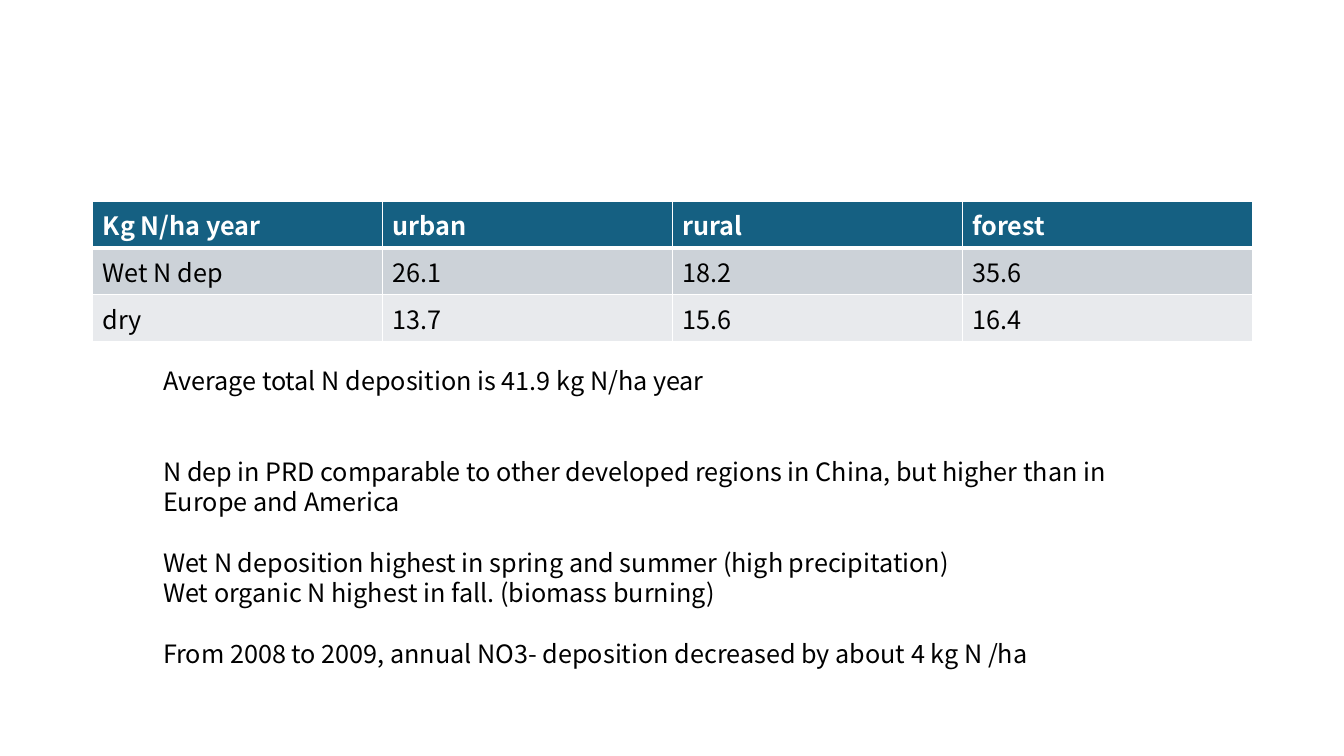
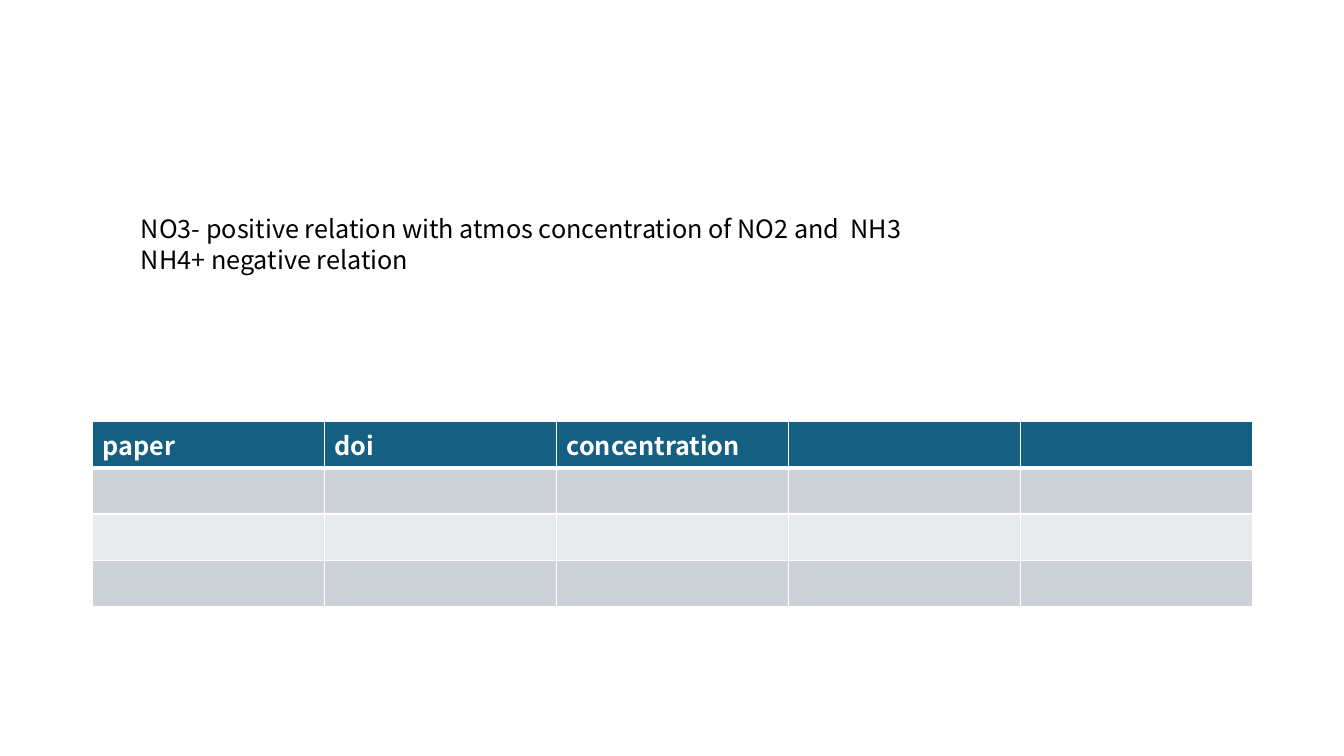
from lxml.etree import SubElement
from pptx import Presentation
from pptx.dml.color import RGBColor
from pptx.enum.text import MSO_AUTO_SIZE as AutoSize
from pptx.oxml.ns import qn
from pptx.util import Inches, Pt

FONT = "Noto Sans CJK SC"
SIZE = 18
LINE_PITCH = 21.7
BLANK_LAYOUT = 6
WHITE, BLACK = "FFFFFF", "000000"
HEADER_FILL = "156082"
BAND_FILLS = ("CCD2D8", "E8EAED")
TABLE_LEFT, TABLE_WIDTH, ROW_HEIGHT = 0.92, 11.5, 0.46

# Each note is (text, empty lines above it).
SLIDES = [
    {
        "table_top": 2,
        "rows": [
            ("Kg N/ha year", "urban", "rural", "forest"),
            ("Wet N dep", "26.1", "18.2", "35.6"),
            ("dry", "13.7", "15.6", "16.4"),
        ],
        "notes_box": (1.52, 3.57, 9.57, 3.13),
        "notes": [
            ("Average total N deposition is 41.9 kg N/ha year", 0),
            ("N dep in PRD comparable to other developed regions in China, "
             "but higher than in Europe and America", 2),
            ("Wet N deposition highest in spring and summer (high precipitation)", 1),
            ("Wet organic N highest in fall. (biomass burning)", 0),
            ("From 2008 to 2009, annual NO3- deposition decreased by about 4 kg N /ha", 1),
        ],
    },
    {
        "table_top": 4.18,
        "rows": [("paper", "doi", "concentration", "", "")] + [("",) * 5] * 3,
        "notes_box": (1.3, 2.07, 8.31, 0.71),
        "notes": [
            ("NO3- positive relation with atmos concentration of NO2 and  NH3", 0),
            ("NH4+ negative relation", 0),
        ],
    },
]


def rgb(color):
    return RGBColor.from_string(color)


def write(paragraph, text, color=BLACK, bold=False, pitch=None, space_before=0):
    paragraph.font.size = Pt(SIZE)
    paragraph.space_before = Pt(space_before)
    if pitch:
        paragraph.line_spacing = Pt(pitch)
    if text:
        run = paragraph.add_run()
        run.text = text
        run.font.name, run.font.size, run.font.bold = FONT, Pt(SIZE), bold
        run.font.color.rgb = rgb(color)


def set_borders(cell, **widths):
    """Draw white cell edges; keys are the sides L, R, T and B, in that order."""
    properties = cell._tc.get_or_add_tcPr()
    for side, width in widths.items():
        line = SubElement(properties, qn(f"a:ln{side}"), w=str(Pt(width)))
        fill = SubElement(line, qn("a:solidFill"))
        SubElement(fill, qn("a:srgbClr"), val=WHITE)


def add_banded_table(slide, top, rows):
    columns = len(rows[0])
    table = slide.shapes.add_table(
        len(rows), columns, Inches(TABLE_LEFT), Inches(top),
        Inches(TABLE_WIDTH), Inches(ROW_HEIGHT * len(rows))).table
    for column in table.columns:
        column.width = Inches(TABLE_WIDTH / columns)
    for row_index, row in enumerate(rows):
        table.rows[row_index].height = Inches(ROW_HEIGHT)
        is_header = row_index == 0
        fill = HEADER_FILL if is_header else BAND_FILLS[(row_index - 1) % 2]
        for column_index, text in enumerate(row):
            cell = table.cell(row_index, column_index)
            set_borders(cell, L=1, R=1, T=3 if row_index == 1 else 1,
                        B=3 if is_header else 1)
            cell.fill.solid()
            cell.fill.fore_color.rgb = rgb(fill)
            write(cell.text_frame.paragraphs[0], text,
                  color=WHITE if is_header else BLACK, bold=is_header)


def add_notes(slide, box, notes):
    frame = slide.shapes.add_textbox(*map(Inches, box)).text_frame
    frame.word_wrap = True
    frame.auto_size = AutoSize.SHAPE_TO_FIT_TEXT
    for index, (text, empty_lines) in enumerate(notes):
        paragraph = frame.add_paragraph() if index else frame.paragraphs[0]
        write(paragraph, text, pitch=LINE_PITCH,
              space_before=empty_lines * LINE_PITCH)


def main():
    presentation = Presentation()
    presentation.slide_width = Inches(13.33)
    presentation.slide_height = Inches(7.5)
    for content in SLIDES:
        slide = presentation.slides.add_slide(presentation.slide_layouts[BLANK_LAYOUT])
        add_banded_table(slide, content["table_top"], content["rows"])
        add_notes(slide, content["notes_box"], content["notes"])
    presentation.save("out.pptx")


if __name__ == "__main__":
    main()
